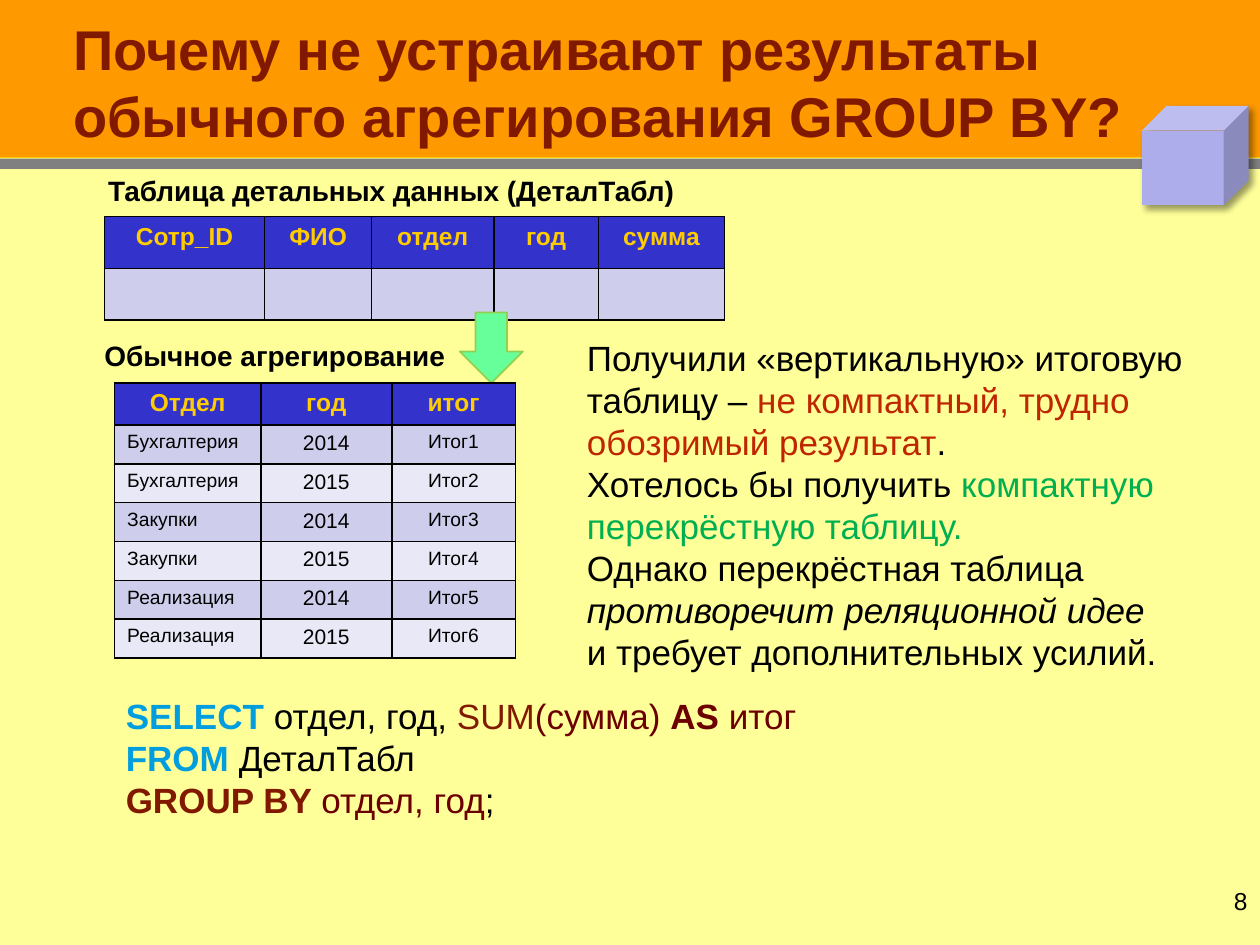
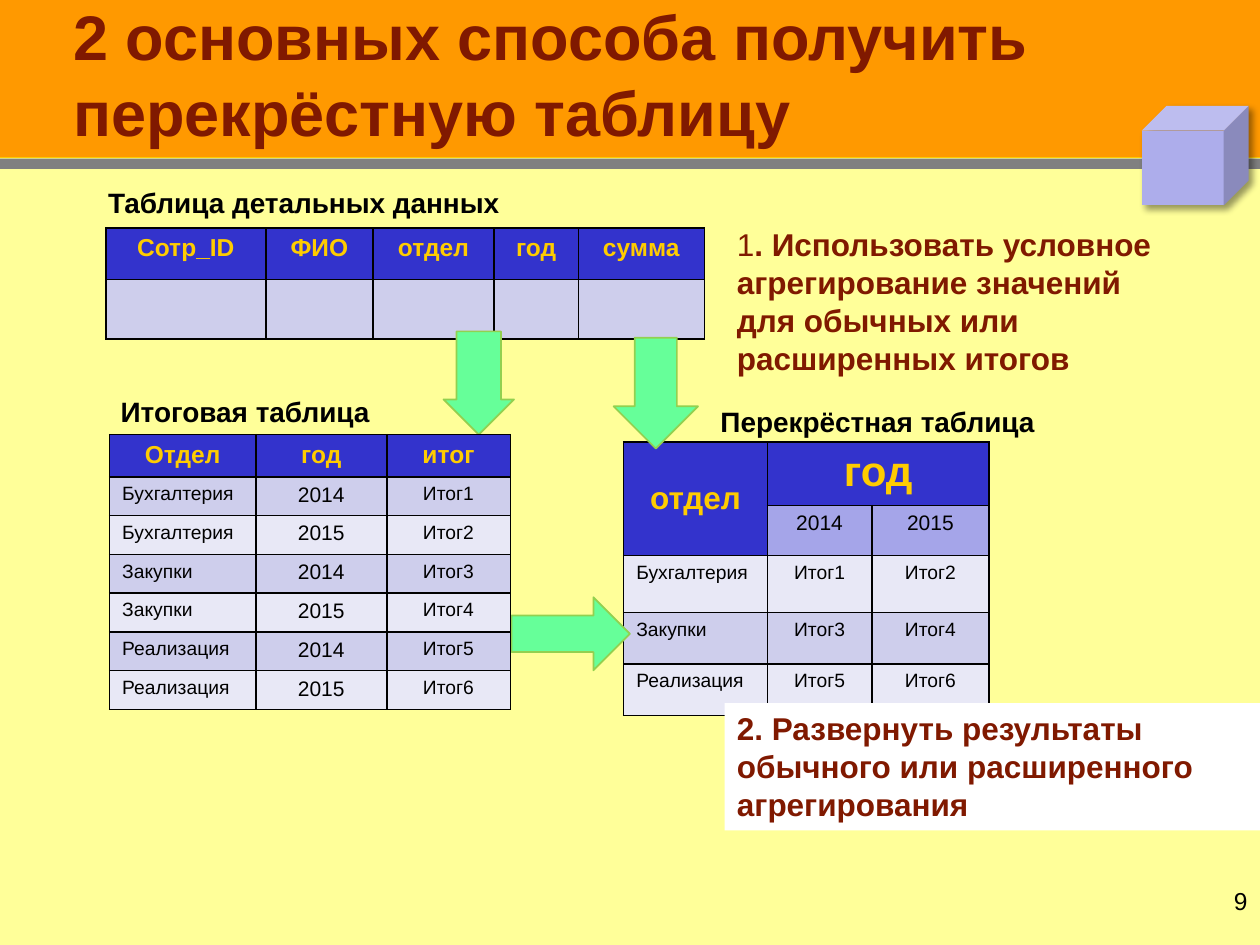
from dataclasses import dataclass
from typing import NamedTuple, Optional, Sequence

import pptx
import pptx.dml.color
import pptx.enum.shapes
import pptx.enum.text
import pptx.oxml
import pptx.oxml.ns
import pptx.util

Shape = pptx.enum.shapes.MSO_SHAPE
Align = pptx.enum.text.PP_ALIGN
Anchor = pptx.enum.text.MSO_ANCHOR

COLORS = {
    "backdrop": "B2B2B2", "band": "FF9900", "page": "FFFF99", "rule": "808080",
    "gold": "FFCC00", "brown": "801900", "black": "000000", "white": "FFFFFF",
    "header": "3333CC", "subheader": "A5A5E9", "dark row": "CECEEC", "light row": "E8E8F6",
    "arrow": "66FF99", "arrow edge": "92D050", "cube": "ADADEB",
    "keyword": "009EDE", "maroon": "6C0000", "red": "BF2600", "green": "00B050",
}
FONT = "Arial"
COLUMNS, ROWS = 100, 75
SLIDE_WIDTH, SLIDE_HEIGHT = pptx.util.Inches(10), pptx.util.Inches(7.5)
LINE_PITCH = 1.2
DRAWING_NS = pptx.oxml.ns.nsdecls("a")


def across(columns: float) -> int:
    return round(SLIDE_WIDTH * columns / COLUMNS)


def down(rows: float) -> int:
    return round(SLIDE_HEIGHT * rows / ROWS)


class Box(NamedTuple):
    """Place on the grid, in columns and rows."""
    left: float
    top: float
    width: float
    height: float

    def emu(self) -> tuple:
        return across(self.left), down(self.top), across(self.width), down(self.height)


class Run(NamedTuple):
    text: str
    color: str = "black"
    bold: bool = False
    italic: bool = False


class Cell(NamedTuple):
    text: str
    fill: str
    size: float = 11
    color: str = "black"
    align: Align = Align.CENTER
    anchor: Anchor = Anchor.TOP

    @property
    def bold(self) -> bool:
        return self.fill == "header"


@dataclass
class Grid:
    left: float
    top: float
    widths: Sequence[float]
    heights: Sequence[float]
    cells: Sequence[Sequence[Cell]]
    merges: Sequence[tuple] = ()


@dataclass
class Arrow:
    box: Box
    kind: Shape = Shape.DOWN_ARROW
    shaft: Optional[float] = None


def rgb(name: str) -> pptx.dml.color.RGBColor:
    return pptx.dml.color.RGBColor.from_string(COLORS[name])


def add_run(paragraph, run: Run, size: float) -> None:
    for index, piece in enumerate(run.text.split("\n")):
        if index:
            paragraph.add_line_break()
        if piece:
            part = paragraph.add_run()
            part.text = piece
            font = part.font
            font.name, font.size = FONT, pptx.util.Pt(size)
            font.bold, font.italic = run.bold, run.italic
            font.color.rgb = rgb(run.color)


def write(frame, paragraphs: Sequence[Sequence[Run]], size: float, align: Align = Align.LEFT) -> None:
    frame.word_wrap = True
    for index, runs in enumerate(paragraphs):
        paragraph = frame.add_paragraph() if index else frame.paragraphs[0]
        paragraph.alignment = align
        paragraph.line_spacing = pptx.util.Pt(round(size * LINE_PITCH, 1))
        for run in runs:
            add_run(paragraph, run, size)


def add_text(slide, box: Box, paragraphs: Sequence[Sequence[Run]], size: float,
             align: Align = Align.LEFT, fill: Optional[str] = None) -> None:
    label = slide.shapes.add_textbox(*box.emu())
    if fill:
        label.fill.solid()
        label.fill.fore_color.rgb = rgb(fill)
    write(label.text_frame, paragraphs, size, align)


def add_caption(slide, box: Box, text: str) -> None:
    add_text(slide, box, [[Run(text, bold=True)]], 16)


def add_filled(slide, kind: Shape, box: Box, fill: str, edge: Optional[str] = None):
    figure = slide.shapes.add_shape(kind, *box.emu())
    figure.shadow.inherit = False
    figure.fill.solid()
    figure.fill.fore_color.rgb = rgb(fill)
    if edge:
        figure.line.color.rgb = rgb(edge)
        figure.line.width = pptx.util.Pt(1)
    else:
        figure.line.fill.background()
    return figure


def add_arrow(slide, arrow: Arrow) -> None:
    figure = add_filled(slide, arrow.kind, arrow.box, "arrow", "arrow edge")
    if arrow.shaft:
        figure.adjustments[0] = arrow.shaft


def add_cube(slide) -> None:
    cube = add_filled(slide, Shape.CUBE, Box(90.6, 8.4, 8.5, 7.9), "cube")
    effects = cube.element.spPr.find(pptx.oxml.ns.qn("a:effectLst"))
    effects.append(pptx.oxml.parse_xml(
        f'<a:outerShdw {DRAWING_NS} blurRad="{pptx.util.Pt(4)}" dist="{pptx.util.Pt(3)}" '
        f'dir="2700000" algn="tl" rotWithShape="0"><a:srgbClr val="{COLORS["black"]}">'
        '<a:alpha val="40000"/></a:srgbClr></a:outerShdw>'))


def add_borders(cell) -> None:
    properties = cell._tc.get_or_add_tcPr()
    for side in "LRTB":
        properties.append(pptx.oxml.parse_xml(
            f'<a:ln{side} {DRAWING_NS} w="{pptx.util.Pt(1)}"><a:solidFill>'
            f'<a:srgbClr val="{COLORS["black"]}"/></a:solidFill></a:ln{side}>'))


def add_grid(slide, grid: Grid) -> None:
    box = Box(grid.left, grid.top, sum(grid.widths), sum(grid.heights))
    table = slide.shapes.add_table(len(grid.heights), len(grid.widths), *box.emu()).table
    for column, width in zip(table.columns, grid.widths):
        column.width = across(width)
    for row, height in zip(table.rows, grid.heights):
        row.height = down(height)
    for row_index, row_cells in enumerate(grid.cells):
        for column_index, content in enumerate(row_cells):
            cell = table.cell(row_index, column_index)
            add_borders(cell)
            cell.fill.solid()
            cell.fill.fore_color.rgb = rgb(content.fill)
            cell.vertical_anchor = content.anchor
            paragraph = cell.text_frame.paragraphs[0]
            paragraph.alignment = content.align
            if content.text:
                add_run(paragraph, Run(content.text, content.color, content.bold), content.size)
    for first, last in grid.merges:
        table.cell(*first).merge(table.cell(*last))


def header(text: str, size: float = 14, anchor: Anchor = Anchor.TOP) -> Cell:
    return Cell(text, "header", size, "gold", anchor=anchor)


DEPARTMENTS = ("Бухгалтерия", "Закупки", "Реализация")
YEARS = ("2014", "2015")


def detail_grid(left: float, top: float, widths: Sequence[float], heights: Sequence[float]) -> Grid:
    names = ("Сотр_ID", "ФИО", "отдел", "год", "сумма")
    return Grid(left, top, widths, heights,
                [[header(name) for name in names], [Cell("", "dark row")] * len(names)])


def totals_grid(left: float, top: float) -> Grid:
    cells = [[header(name) for name in ("Отдел", "год", "итог")]]
    for department in DEPARTMENTS:
        for year, fill in zip(YEARS, ("dark row", "light row")):
            cells.append([Cell(department, fill, align=Align.LEFT), Cell(year, fill, 12),
                          Cell(f"Итог{len(cells)}", fill)])
    return Grid(left, top, (11.6, 10.4, 9.8), (3.3,) + (3.08,) * 6, cells)


def cross_grid(left: float, top: float) -> Grid:
    cells = [[header("отдел", 18, Anchor.MIDDLE), header("год", 24), header("")],
             [header("")] + [Cell(year, "subheader", 12) for year in YEARS]]
    for index, department in enumerate(DEPARTMENTS):
        fill = "dark row" if index % 2 else "light row"
        totals = [Cell(f"Итог{2 * index + offset}", fill) for offset in (1, 2)]
        cells.append([Cell(department, fill, align=Align.LEFT)] + totals)
    return Grid(left, top, (11.4, 8.3, 9.3), (4.7, 3.8, 4.5, 4.1, 4.1), cells,
                (((0, 0), (1, 0)), ((0, 1), (0, 2))))


def start_slide(deck, title: str, title_size: float, number: int):
    """Add a slide with the bands, title and number that all slides share."""
    slide = deck.slides.add_slide(deck.slide_layouts.get_by_name("Title Only"))
    slide.background.fill.solid()
    slide.background.fill.fore_color.rgb = rgb("backdrop")
    for box, fill in ((Box(0, 0, COLUMNS, 12.5), "band"),
                      (Box(0, 12.5, COLUMNS, 62.5), "page"),
                      (Box(0, 12.6, COLUMNS, 0.8), "rule")):
        add_filled(slide, Shape.RECTANGLE, box, fill)
    edge = slide.shapes.add_connector(pptx.enum.shapes.MSO_CONNECTOR.STRAIGHT,
                                      0, down(12.5), SLIDE_WIDTH, down(12.5))
    edge.line.color.rgb = rgb("gold")
    edge.line.width = pptx.util.Pt(1)
    edge.element.spPr.append(pptx.oxml.parse_xml(f"<a:effectLst {DRAWING_NS}/>"))

    heading = slide.shapes.title
    heading.left, heading.top, heading.width, heading.height = Box(0, 0.6, COLUMNS, 11.7).emu()
    heading.fill.solid()
    heading.fill.fore_color.rgb = rgb("band")
    frame = heading.text_frame
    frame.auto_size = pptx.enum.text.MSO_AUTO_SIZE.NONE
    frame.vertical_anchor = Anchor.BOTTOM
    write(frame, [[Run(title, "brown", True)]], title_size)
    indents = frame.paragraphs[0]._p.get_or_add_pPr()
    indents.set("marL", str(across(4.8)))
    indents.set("indent", "0")
    heading.element.getparent().append(heading.element)

    add_text(slide, Box(89.7, 69.8, 10.3, 5.2), [[Run(str(number))]], 14, Align.RIGHT)
    add_cube(slide)
    return slide


def build_group_by_slide(deck) -> None:
    slide = start_slide(deck, "Почему не устраивают результаты обычного агрегирования GROUP BY?", 32, 8)
    add_grid(slide, detail_grid(8.3, 17.2, (12.7, 8.5, 9.7, 8.3, 10), (4.1, 4.1)))
    add_arrow(slide, Arrow(Box(36.5, 24.8, 5, 5.6)))
    add_caption(slide, Box(7.6, 13.3, 50, 3.7), "Таблица детальных данных (ДеталТабл)")
    add_caption(slide, Box(7.3, 26.4, 30.2, 3.7), "Обычное агрегирование")
    query = [
        [Run("SELECT ", "keyword", True), Run("отдел, год, "), Run("SUM", "brown"),
         Run("(сумма) ", "maroon"), Run("AS ", "maroon", True), Run("итог", "maroon")],
        [Run("FROM ", "keyword", True), Run("ДеталТабл")],
        [Run("GROUP BY ", "brown", True), Run("отдел, год", "maroon"), Run(";")],
    ]
    add_text(slide, Box(9, 54.6, 67.7, 11.1), query, 20)
    conclusions = [
        [Run("Получили «вертикальную» итоговую таблицу – "),
         Run("не компактный, трудно обозримый результат", "red"), Run(".")],
        [Run("Хотелось бы получить "), Run("компактную перекрёстную таблицу.", "green")],
        [Run("Однако перекрёстная таблица "),
         Run("противоречит реляционной идее \n", italic=True),
         Run("и требует дополнительных усилий.")],
    ]
    add_text(slide, Box(45.6, 26.2, 54.4, 27.9), conclusions, 20)
    add_grid(slide, totals_grid(9.1, 30.4))


def build_cross_table_slide(deck) -> None:
    slide = start_slide(deck, "2 основных способа получить перекрёстную таблицу", 36, 9)
    add_grid(slide, detail_grid(8.4, 18.1, (12.7, 8.5, 9.6, 6.7, 10), (4.1, 4.7)))
    add_arrow(slide, Arrow(Box(35.2, 26.3, 5.6, 8.2), shaft=0.63))
    add_grid(slide, cross_grid(49.5, 35.1))
    add_arrow(slide, Arrow(Box(40.6, 47.4, 9.4, 5.8), Shape.RIGHT_ARROW))
    add_caption(slide, Box(7.6, 14.2, 50, 3.7), "Таблица детальных данных")
    add_caption(slide, Box(8.6, 30.8, 29.4, 3.7), "Итоговая таблица")
    unfold = Run("2. Развернуть результаты обычного или расширенного агрегирования", "brown", True)
    add_text(slide, Box(57.5, 55.8, 42.5, 10.1), [[unfold]], 18, fill="white")
    conditional = Run(". Использовать условное агрегирование значений \n"
                      "для обычных или расширенных итогов", "brown", True)
    add_text(slide, Box(57.5, 17.4, 39, 13.1), [[Run("1", "brown"), conditional]], 18)
    add_arrow(slide, Arrow(Box(48.7, 26.8, 6.7, 8.8)))
    add_caption(slide, Box(56.2, 31.6, 29.4, 3.7), "Перекрёстная таблица")
    add_grid(slide, totals_grid(8.7, 34.5))


def main() -> None:
    deck = pptx.Presentation()
    deck.slide_width, deck.slide_height = SLIDE_WIDTH, SLIDE_HEIGHT
    build_group_by_slide(deck)
    build_cross_table_slide(deck)
    deck.save("out.pptx")


if __name__ == "__main__":
    main()
